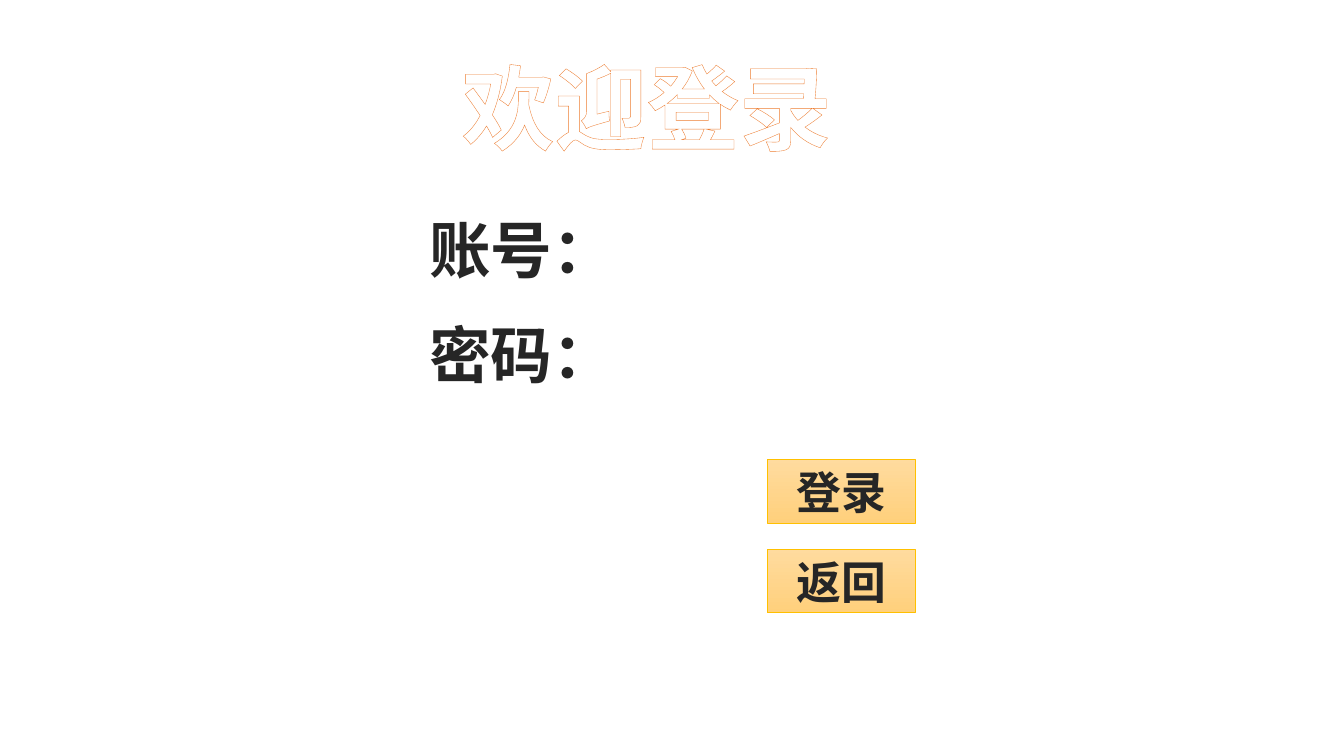
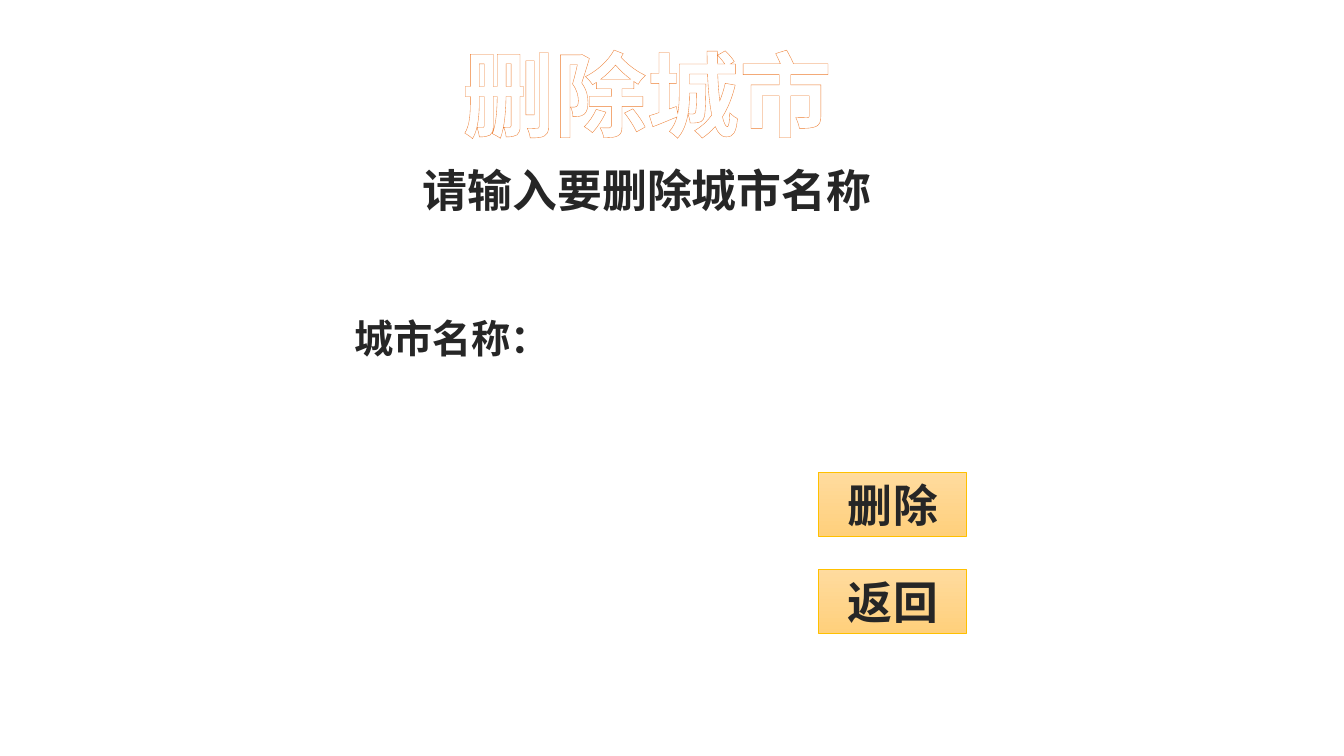
from dataclasses import dataclass

from lxml import etree
from pptx import Presentation
from pptx.dml.color import RGBColor
from pptx.enum.shapes import MSO_SHAPE
from pptx.enum.text import MSO_ANCHOR, MSO_AUTO_SIZE, PP_ALIGN
from pptx.oxml.ns import qn
from pptx.util import Inches, Pt

RECTANGLE = MSO_SHAPE.RECTANGLE
TOP, MIDDLE = MSO_ANCHOR.TOP, MSO_ANCHOR.MIDDLE
FIT_SHAPE = MSO_AUTO_SIZE.SHAPE_TO_FIT_TEXT
CENTER = PP_ALIGN.CENTER

FONT = "Noto Sans CJK SC"
COLORS = {
    "white": "FFFFFF",
    "ink": "262626",
    "title_outline": "ED7D31",
    "button_top": "FFDB9E",
    "button_bottom": "FFD07C",
    "button_line": "FFC000",
}
TITLE_ONLY_LAYOUT = 5
BUTTON_WIDTH, BUTTON_HEIGHT = 1.47, 0.63


@dataclass(frozen=True)
class TextStyle:
    size: float
    color: str = "ink"
    outline: str = "white"
    outline_width: float = 1.06
    spacing: float = 0


@dataclass(frozen=True)
class Label:
    text: str
    left: float
    top: float
    width: float
    height: float
    size: float
    wrap: bool = True


@dataclass(frozen=True)
class ButtonColumn:
    texts: tuple[str, ...]
    left: float
    top: float
    pitch: float


@dataclass(frozen=True)
class Screen:
    title: str
    title_top: float
    labels: tuple[Label, ...]
    buttons: ButtonColumn


TITLE_STYLE = TextStyle(66, "white", "title_outline", 0.52)
BUTTON_STYLE = TextStyle(32, spacing=0.5)

SCREENS = (
    Screen(
        "欢迎登录", 0.45,
        (Label("账号：", 4.15, 2.05, 2.05, 0.84, 44, wrap=False),
         Label("密码：", 4.15, 3.09, 2.05, 0.84, 44, wrap=False)),
        ButtonColumn(("登录", "返回"), 7.61, 4.56, 0.89),
    ),
    Screen(
        "删除城市", 0.32,
        (Label("请输入要删除城市名称", 2.84, 1.57, 7.16, 0.64, 32),
         Label("城市名称：", 2.84, 3.07, 3.29, 0.57, 28)),
        ButtonColumn(("删除", "返回"), 8.12, 4.69, 0.96),
    ),
)


def rgb(name: str) -> RGBColor:
    return RGBColor.from_string(COLORS[name])


def write_text(shape, text: str, style: TextStyle, anchor=TOP, wrap: bool = True) -> None:
    """Write one centred bold line with outlined letters."""
    frame = shape.text_frame
    frame.word_wrap = wrap
    frame.vertical_anchor = anchor
    paragraph = frame.paragraphs[0]
    paragraph.alignment = CENTER
    font = paragraph.font
    font.name, font.size, font.bold = FONT, Pt(style.size), True
    font.color.rgb = rgb(style.color)

    # Outline, letter spacing and East Asian font need XML
    run = paragraph.add_run()
    run.text = text
    properties = run._r.get_or_add_rPr()
    if style.spacing:
        properties.set("spc", str(round(style.spacing * 100)))
    line = etree.SubElement(properties, qn("a:ln"), w=str(int(Pt(style.outline_width))))
    fill = etree.SubElement(line, qn("a:solidFill"))
    etree.SubElement(fill, qn("a:srgbClr"), val=COLORS[style.outline])
    etree.SubElement(properties, qn("a:ea"), typeface=FONT)


def add_title(slide, text: str, top: float) -> None:
    title = slide.shapes.title
    title.left, title.top = Inches(3.08), Inches(top)
    title.width, title.height = Inches(6.67), Inches(1.21)
    write_text(title, text, TITLE_STYLE)
    title.text_frame.auto_size = FIT_SHAPE


def add_label(slide, label: Label) -> None:
    box = slide.shapes.add_textbox(Inches(label.left), Inches(label.top),
                                   Inches(label.width), Inches(label.height))
    write_text(box, label.text, TextStyle(label.size), wrap=label.wrap)
    box.text_frame.auto_size = FIT_SHAPE


def add_button(slide, text: str, left: float, top: float) -> None:
    button = slide.shapes.add_shape(RECTANGLE, Inches(left), Inches(top),
                                    Inches(BUTTON_WIDTH), Inches(BUTTON_HEIGHT))
    button.shadow.inherit = False
    button.fill.gradient()
    button.fill.gradient_angle = 270
    for stop, color in zip(button.fill.gradient_stops, ("button_top", "button_bottom")):
        stop.color.rgb = rgb(color)
    button.line.color.rgb = rgb("button_line")
    button.line.width = Pt(0.5)
    write_text(button, text, BUTTON_STYLE, MIDDLE)


def add_screen(presentation, screen: Screen) -> None:
    slide = presentation.slides.add_slide(presentation.slide_layouts[TITLE_ONLY_LAYOUT])
    add_title(slide, screen.title, screen.title_top)
    for label in screen.labels:
        add_label(slide, label)
    column = screen.buttons
    for row, text in enumerate(column.texts):
        add_button(slide, text, column.left, column.top + row * column.pitch)


def main() -> None:
    presentation = Presentation()
    presentation.slide_width, presentation.slide_height = Inches(13.33), Inches(7.5)
    for screen in SCREENS:
        add_screen(presentation, screen)
    presentation.save("out.pptx")


if __name__ == "__main__":
    main()
